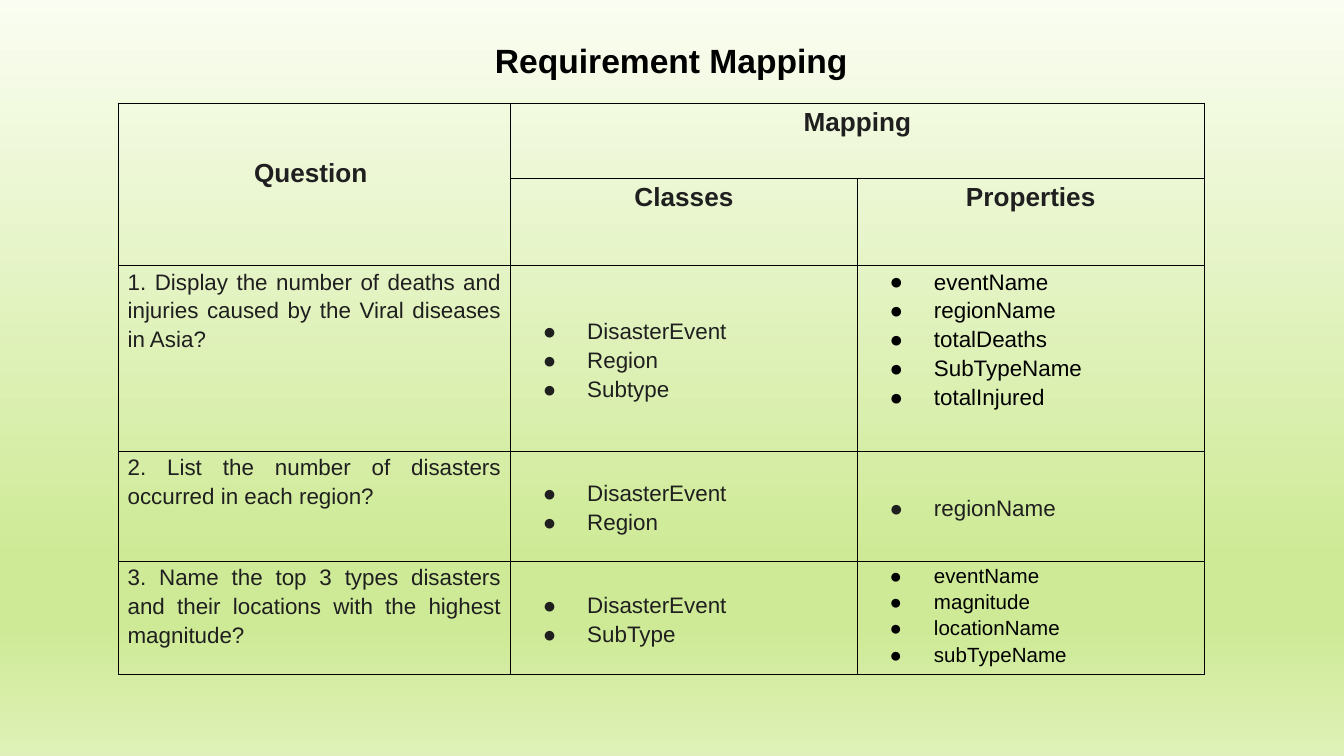
"""Build the Requirement Mapping slide: questions mapped to classes and properties."""
from lxml import etree
from pptx import Presentation
from pptx import util as u
from pptx.dml.color import RGBColor
from pptx.enum import text
from pptx.oxml.ns import qn

FONT, INK, BLACK = "Arial", "1F1F1F", "000000"
SLIDE_WIDTH = u.Inches(10)
SLIDE_HEIGHT = SLIDE_WIDTH * 9 // 16
TITLE = "Requirement Mapping"
BACKDROP = [(0, "FAFDF1"), (74, "CEEA96"), (83, "CEEA96"), (100, "DFF1B8")]
COLUMNS = [2.92, 2.58, 2.58]
ROWS = [0.56, 0.62, 1.38, 0.82, 0.82]
HEADINGS = [(0, 0, "Question ", 0.38), (0, 1, "Mapping", 0),
            (1, 1, "Classes", 0), (1, 2, "Properties", 0)]
REQUIREMENTS = [
    {"question": "1. Display the number of deaths and injuries caused by the Viral diseases in Asia?",
     "classes": ["DisasterEvent", "Region", "Subtype"],
     "properties": ["eventName", "regionName", "totalDeaths", "SubTypeName", "totalInjured"],
     "style": (12, BLACK, "top")},
    {"question": "2. List the number of disasters occurred in each region?",
     "classes": ["DisasterEvent", "Region"],
     "properties": ["regionName"],
     "style": (12, INK, "middle")},
    {"question": "3. Name the top 3 types disasters and their locations with the highest magnitude?",
     "classes": ["DisasterEvent", "SubType"],
     "properties": ["eventName", "magnitude", "locationName", "subTypeName"],
     "style": (11, BLACK, "top")},
]
ANCHORS = {"top": text.MSO_ANCHOR.TOP, "middle": text.MSO_ANCHOR.MIDDLE}
ALIGN = text.PP_ALIGN


def colour(hex_code):
    return RGBColor.from_string(hex_code)


def add_xml(parent, tag, **attributes):
    return etree.SubElement(parent, qn(tag), {k: str(v) for k, v in attributes.items()})


def write(paragraph, words, size, ink, align, bold=False):
    paragraph.alignment = align
    run = paragraph.add_run()
    run.text = words
    run.font.name, run.font.size, run.font.bold = FONT, u.Pt(size), bold
    run.font.color.rgb = colour(ink)


def add_bullet(paragraph, ink):
    properties = paragraph._p.get_or_add_pPr()
    properties.set("marL", str(u.Inches(0.5)))
    properties.set("indent", str(u.Inches(-0.33)))
    add_xml(add_xml(properties, "a:buClr"), "a:srgbClr", val=ink)
    add_xml(properties, "a:buFont", typeface=FONT)
    add_xml(properties, "a:buChar", char="●")


def fill_cell(cell, lines, size, ink, align, bold=False, bullets=False, anchor="top"):
    cell.vertical_anchor = ANCHORS[anchor]
    for i, words in enumerate(lines):
        paragraph = cell.text_frame.paragraphs[0] if i == 0 else cell.text_frame.add_paragraph()
        paragraph.line_spacing = 1.15
        paragraph.space_before = u.Pt(0 if i else 12)
        paragraph.space_after = u.Pt(0 if bullets else 12)
        if bullets:
            add_bullet(paragraph, ink)
        write(paragraph, words, size, ink, align, bold)


def format_cell(cell):
    cell.margin_left = cell.margin_right = u.Inches(0.07)
    cell.margin_top = cell.margin_bottom = 0
    properties = cell._tc.get_or_add_tcPr()
    for side in ("a:lnL", "a:lnR", "a:lnT", "a:lnB"):
        border = add_xml(properties, side, w=u.Pt(0.75))
        add_xml(add_xml(border, "a:solidFill"), "a:srgbClr", val=BLACK)
    cell.fill.background()


def paint_background(slide):
    fill = slide.background.fill
    fill.gradient()
    fill.gradient_angle = 270
    stops = slide._element.find(".//" + qn("a:gsLst"))
    for stop in list(stops):
        stops.remove(stop)
    for share, hex_code in BACKDROP:
        add_xml(add_xml(stops, "a:gs", pos=share * 1000), "a:srgbClr", val=hex_code)


def add_title(slide):
    title = slide.shapes.add_textbox(*map(u.Inches, (2.34, 0.2, 5.31, 0.45))).text_frame
    title.word_wrap = True
    title.margin_left = title.margin_right = title.margin_top = title.margin_bottom = u.Inches(0.1)
    write(title.paragraphs[0], TITLE, 18, BLACK, ALIGN.CENTER, True)


def add_mapping(slide):
    table = slide.shapes.add_table(len(ROWS), len(COLUMNS), *map(
        u.Inches, (0.88, 0.77, sum(COLUMNS), sum(ROWS)))).table
    table.first_row = table.horz_banding = False
    for column, width in zip(table.columns, COLUMNS):
        column.width = u.Inches(width)
    for row, height in zip(table.rows, ROWS):
        row.height = u.Inches(height)
    for cell in table.iter_cells():
        format_cell(cell)
    table.cell(0, 0).merge(table.cell(1, 0))
    table.cell(0, 1).merge(table.cell(0, 2))
    for row, column, heading, drop in HEADINGS:
        cell = table.cell(row, column)
        cell.margin_top = u.Inches(drop)
        fill_cell(cell, [heading], 14, INK, ALIGN.CENTER, bold=True)
    for row, entry in enumerate(REQUIREMENTS, 2):
        size, ink, anchor = entry["style"]
        fill_cell(table.cell(row, 0), [entry["question"]], 12, INK, ALIGN.JUSTIFY)
        fill_cell(table.cell(row, 1), entry["classes"], 12, INK, ALIGN.LEFT,
                  bullets=True, anchor="middle")
        fill_cell(table.cell(row, 2), entry["properties"], size, ink,
                  ALIGN.JUSTIFY if anchor == "top" else ALIGN.LEFT, bullets=True, anchor=anchor)


def main():
    deck = Presentation()
    deck.slide_width, deck.slide_height = SLIDE_WIDTH, SLIDE_HEIGHT
    slide = deck.slides.add_slide(deck.slide_layouts[6])
    paint_background(slide)
    add_title(slide)
    add_mapping(slide)
    deck.save("out.pptx")


if __name__ == "__main__":
    main()
